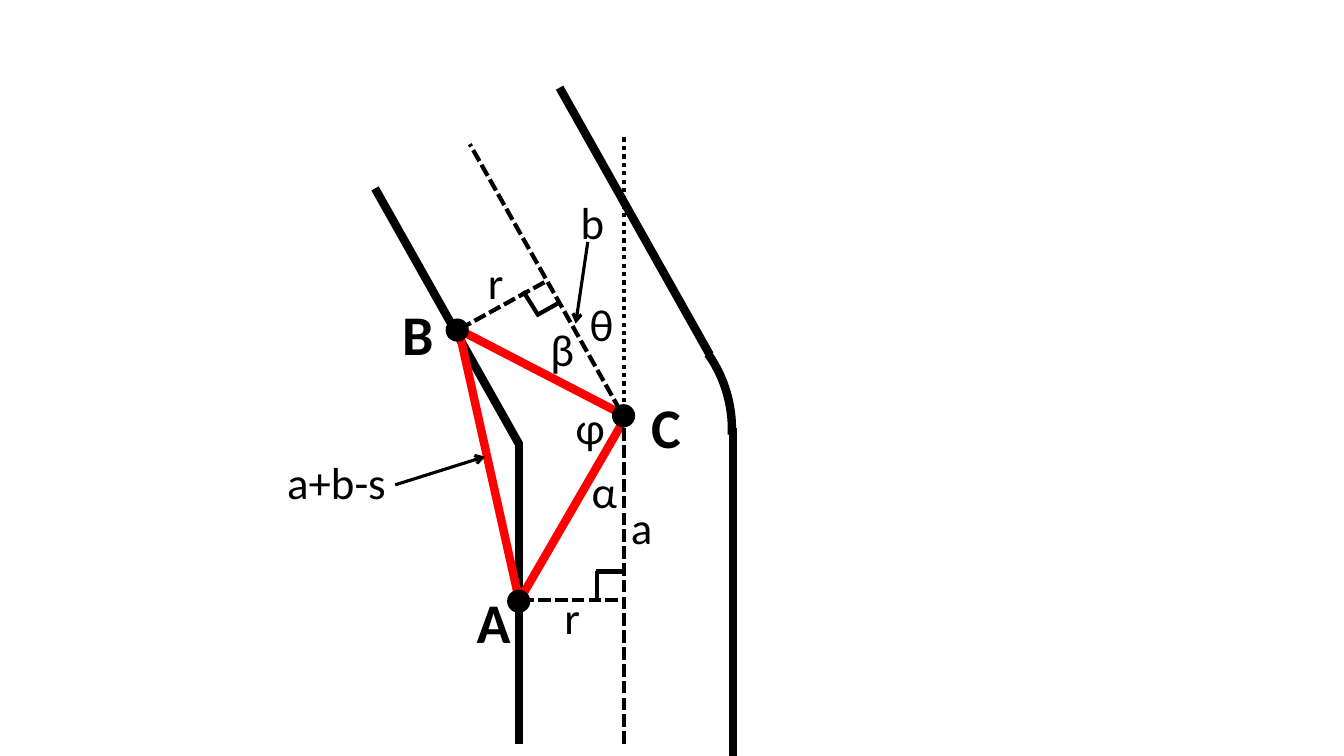
import pptx
import pptx.util
import pptx.dml.color
import pptx.enum.dml
import pptx.enum.shapes
import pptx.enum.text
import pptx.oxml.ns
from lxml import etree

PX = 9144  # one px is a hundredth of an inch
BLACK = pptx.dml.color.RGBColor(0, 0, 0)
RED = pptx.dml.color.RGBColor(255, 0, 0)
DASH = pptx.enum.dml.MSO_LINE.SQUARE_DOT
DOTS = pptx.enum.dml.MSO_LINE.ROUND_DOT
SHAPES = pptx.enum.shapes.MSO_SHAPE

presentation = pptx.Presentation()
presentation.slide_width = 1333 * PX
presentation.slide_height = 750 * PX
slide = presentation.slides.add_slide(presentation.slide_layouts[6])


def add_line(ends, width, color=BLACK, dash=None, arrow=False):
    connector = slide.shapes.add_connector(
        pptx.enum.shapes.MSO_CONNECTOR.STRAIGHT, *(value * PX for value in ends))
    connector.line.width = pptx.util.Pt(width)
    connector.line.color.rgb = color
    if dash:
        connector.line.dash_style = dash
    if arrow:
        line = connector.line._get_or_add_ln()
        etree.SubElement(line, pptx.oxml.ns.qn("a:tailEnd"), type="arrow")
    properties = connector._element.spPr
    etree.SubElement(properties, pptx.oxml.ns.qn("a:effectLst"))


def add_label(text, left, top, width, height, size, bold=False):
    box = slide.shapes.add_textbox(left * PX, top * PX, width * PX, height * PX)
    frame = box.text_frame
    frame.word_wrap = True
    frame.auto_size = pptx.enum.text.MSO_AUTO_SIZE.SHAPE_TO_FIT_TEXT
    frame.text = text
    font = frame.paragraphs[0].runs[0].font
    font.name = "Calibri"
    font.size = pptx.util.Pt(size)
    font.bold = bold
    font.color.rgb = BLACK


# Corridor walls
for ends in [(515, 439, 515, 738), (515, 441, 372, 187),
             (704, 352, 555, 87), (727, 750, 727, 425)]:
    add_line(ends, 6)

# Triangle ABC
for ends in [(515, 596, 455, 327), (621, 413, 515, 596), (621, 413, 455, 327)]:
    add_line(ends, 6, RED)

# Rounded outer corner
corner = slide.shapes.add_shape(SHAPES.ARC, 466 * PX, 296 * PX, 260 * PX, 260 * PX)
corner.adjustments[0] = 194.985
corner.adjustments[1] = 1.431
corner.shadow.inherit = False
corner.fill.background()
corner.line.color.rgb = BLACK
corner.line.width = pptx.util.Pt(6)

# Vertices and their names
for name, dot_left, dot_top, left, top, width in [
        ("C", 607, 401, 636, 384, 45),
        ("B", 442, 316, 389, 292, 45),
        ("A", 503, 585, 463, 578, 34)]:
    dot = slide.shapes.add_shape(
        SHAPES.OVAL, dot_left * PX, dot_top * PX, 23 * PX, 23 * PX)
    dot.shadow.inherit = False
    dot.fill.solid()
    dot.fill.fore_color.rgb = BLACK
    dot.line.fill.background()
    add_label(name, left, top, width, 77, 40, bold=True)

# Centre lines and radii
for ends in [(615, 407, 466, 143), (619, 738, 619, 416),
             (540, 280, 444, 333), (613, 595, 512, 595)]:
    add_line(ends, 3, dash=DASH)
add_line((619, 416, 619, 134), 3, dash=DOTS)

# Right-angle marks
for ends in [(519, 289, 534, 313), (532, 313, 555, 300),
             (620, 567, 591, 567), (592, 566, 592, 593)]:
    add_line(ends, 3)

# Angle and length labels
for text, left, top in [("θ", 575, 289), ("β", 536, 314), ("φ", 561, 392),
                        ("α", 577, 455), ("b", 566, 188), ("a", 616, 491),
                        ("r", 550, 580), ("r", 474, 248)]:
    add_label(text, left, top, 45, 64, 32)
add_label("a+b-s", 275, 446, 168, 64, 32)

# Pointers from labels to lines
for ends in [(583, 240, 571, 321), (392, 481, 481, 453)]:
    add_line(ends, 2.25, arrow=True)

presentation.save("out.pptx")
